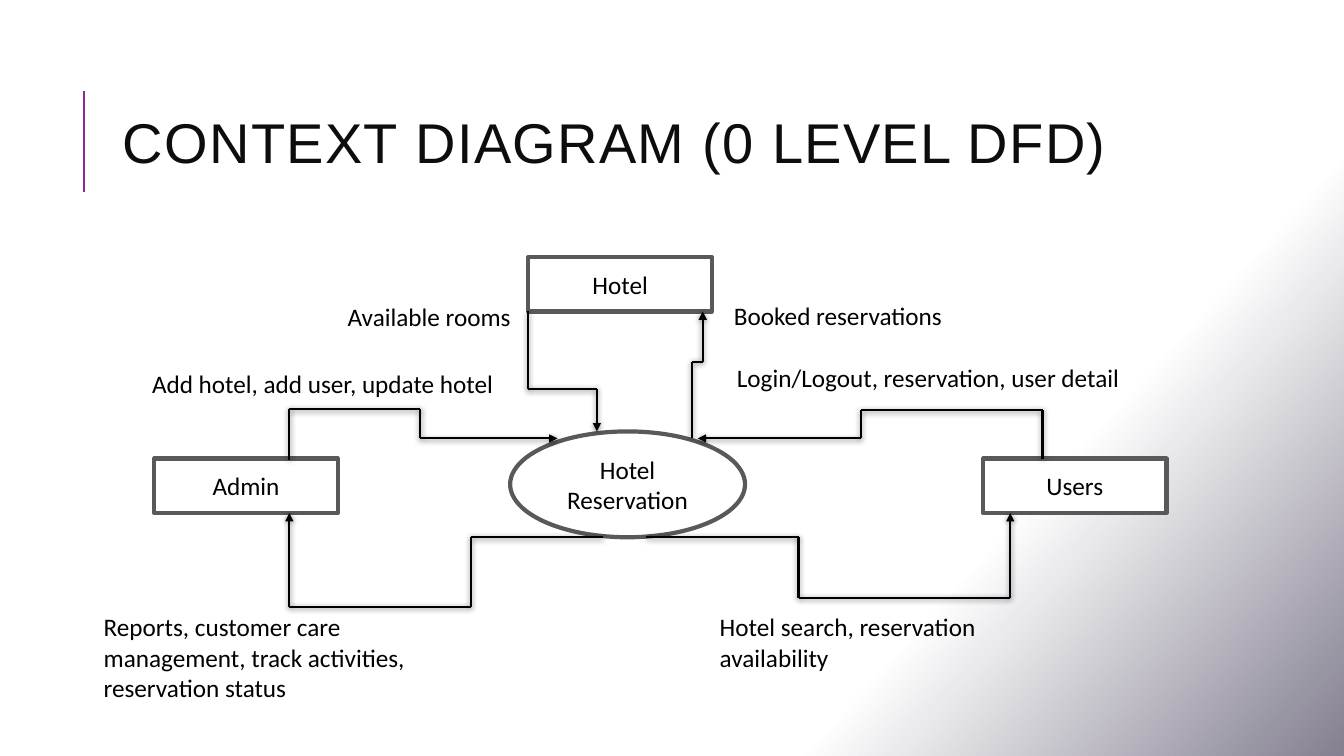
"""Build the context diagram (level 0 DFD) slide of a hotel reservation system."""
import itertools

import pptx
import pptx.dml.color
import pptx.enum.shapes
import pptx.enum.text
import pptx.oxml
import pptx.oxml.ns
import pptx.util

Inches = pptx.util.Inches
Pt = pptx.util.Pt
RGB = pptx.dml.color.RGBColor.from_string
SHAPE = pptx.enum.shapes.MSO_SHAPE
ALIGN = pptx.enum.text.PP_ALIGN
NS = pptx.oxml.ns.nsdecls("a")
COLORS = {
    "white": "FFFFFF",
    "haze": "848091",
    "accent": "92278F",
    "title": "0D0D0D",
    "outline": "595959",
    "black": "000000",
}


def add_line(slide, start, end, color):
    """Draw a straight 1.5 pt line between two points in inches."""
    x1, y1, x2, y2 = (Inches(v) for v in (*start, *end))
    line = slide.shapes.add_connector(
        pptx.enum.shapes.MSO_CONNECTOR.STRAIGHT, x1, y1, x2, y2)
    line.line.color.rgb = RGB(COLORS[color])
    line.line.width = Pt(1.5)
    return line


def write(sp, text, size, color, font, align):
    """Put one paragraph of wrapped text into a shape."""
    tf = sp.text_frame
    tf.word_wrap = True
    p = tf.paragraphs[0]
    p.text = text
    p.alignment = align
    p.font.size = Pt(size)
    p.font.name = font
    p.font.color.rgb = RGB(COLORS[color])
    return tf


prs = pptx.Presentation()
prs.slide_width = Inches(13.33)
prs.slide_height = Inches(7.5)
s = prs.slides.add_slide(prs.slide_layouts[6])

fill = s.background.fill
fill.gradient()
fill.gradient_angle = 360 - 42
stops = s.background._cSld.find(".//" + pptx.oxml.ns.qn("a:gsLst"))
for stop in list(stops):
    stops.remove(stop)
for position, name in [(3, "white"), (73, "white"), (100, "haze")]:
    stops.append(pptx.oxml.parse_xml(
        f'<a:gs {NS} pos="{position * 1000}"><a:srgbClr val="{COLORS[name]}"/></a:gs>'))

bar = add_line(s, (0.83, 1.9), (0.83, 0.9), "accent")
bar._element.spPr.append(pptx.oxml.parse_xml(f"<a:effectLst {NS}/>"))

title = s.shapes.add_textbox(Inches(1.12), Inches(0.64), Inches(10.63), Inches(1.64))
tf = write(title, "CONTEXT DIAGRAM (0 LEVEL DFD)", 40, "title", "Arial", ALIGN.LEFT)
tf.vertical_anchor = pptx.enum.text.MSO_ANCHOR.MIDDLE
tf.paragraphs[0].line_spacing = 0.8
tf.paragraphs[0].runs[0].font._element.set("spc", "100")

nodes = [
    ("Hotel", SHAPE.RECTANGLE, 5.24, 2.55, 1.82, 0.54),
    ("Admin", SHAPE.RECTANGLE, 1.53, 4.55, 1.82, 0.54),
    ("Users", SHAPE.RECTANGLE, 9.75, 4.55, 1.82, 0.54),
    ("Hotel Reservation", SHAPE.OVAL, 5.06, 4.28, 2.33, 1.05),
]
for text, kind, *box in nodes:
    sp = s.shapes.add_shape(kind, *(Inches(v) for v in box))
    sp.shadow.inherit = False
    sp.fill.solid()
    sp.fill.fore_color.rgb = RGB(COLORS["white"])
    sp.line.color.rgb = RGB(COLORS["outline"])
    sp.line.width = Pt(3)
    tf = write(sp, text, 18, "black", "Calibri", ALIGN.CENTER)
    tf.vertical_anchor = pptx.enum.text.MSO_ANCHOR.MIDDLE

flows = [
    [(5.24, 3.09), (5.24, 3.86), (5.92, 3.86), (5.92, 4.28)],
    [(6.86, 4.35), (6.86, 3.59), (6.97, 3.59), (6.97, 3.09)],
    [(10.34, 4.55), (10.34, 4.07), (8.54, 4.07), (8.54, 4.35), (6.92, 4.35)],
    [(2.87, 4.56), (2.87, 4.06), (4.17, 4.06), (4.17, 4.35), (5.53, 4.35)],
    [(5.98, 5.33), (4.67, 5.33), (4.67, 6.02), (2.87, 6.02), (2.87, 5.09)],
    [(6.41, 5.33), (7.92, 5.33), (7.92, 5.93), (10.02, 5.93), (10.02, 5.09)],
]
for points in flows:
    for start, end in itertools.pairwise(points):
        line = add_line(s, start, end, "black")
        line._element.spPr.append(pptx.oxml.parse_xml(
            f'<a:effectLst {NS}><a:outerShdw blurRad="{Pt(4)}" dist="{Pt(1)}" '
            f'dir="5400000" rotWithShape="0"><a:srgbClr val="{COLORS["black"]}">'
            '<a:alpha val="50000"/></a:srgbClr></a:outerShdw></a:effectLst>'))
    line.line._get_or_add_ln().append(
        pptx.oxml.parse_xml(f'<a:tailEnd {NS} type="triangle"/>'))

labels = [
    ("Available rooms", 3.35, 2.94, 2.07, 0.4),
    ("Booked reservations", 7.18, 2.93, 2.45, 0.4),
    ("Add hotel, add user, update hotel", 1.41, 3.6, 3.76, 0.4),
    ("Login/Logout, reservation, user detail", 7.21, 3.55, 4.79, 0.4),
    ("Reports, customer care management, track activities, reservation status",
     0.93, 6.02, 3.8, 0.71),
    ("Hotel search, reservation availability", 7.04, 6.02, 3.6, 0.71),
]
for text, *box in labels:
    sp = s.shapes.add_textbox(*(Inches(v) for v in box))
    write(sp, text, 18, "black", "Calibri", ALIGN.LEFT)

prs.save("out.pptx")
